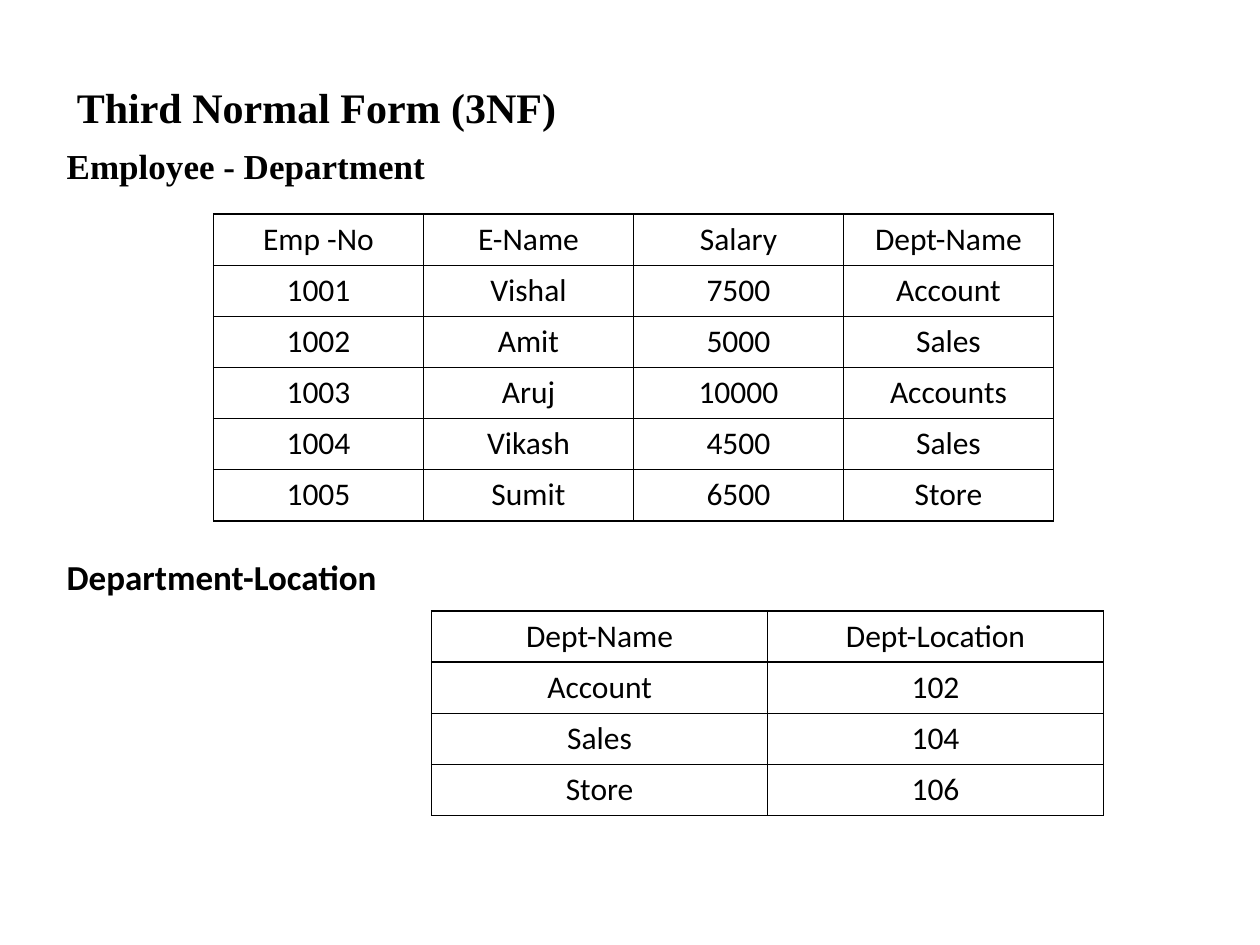
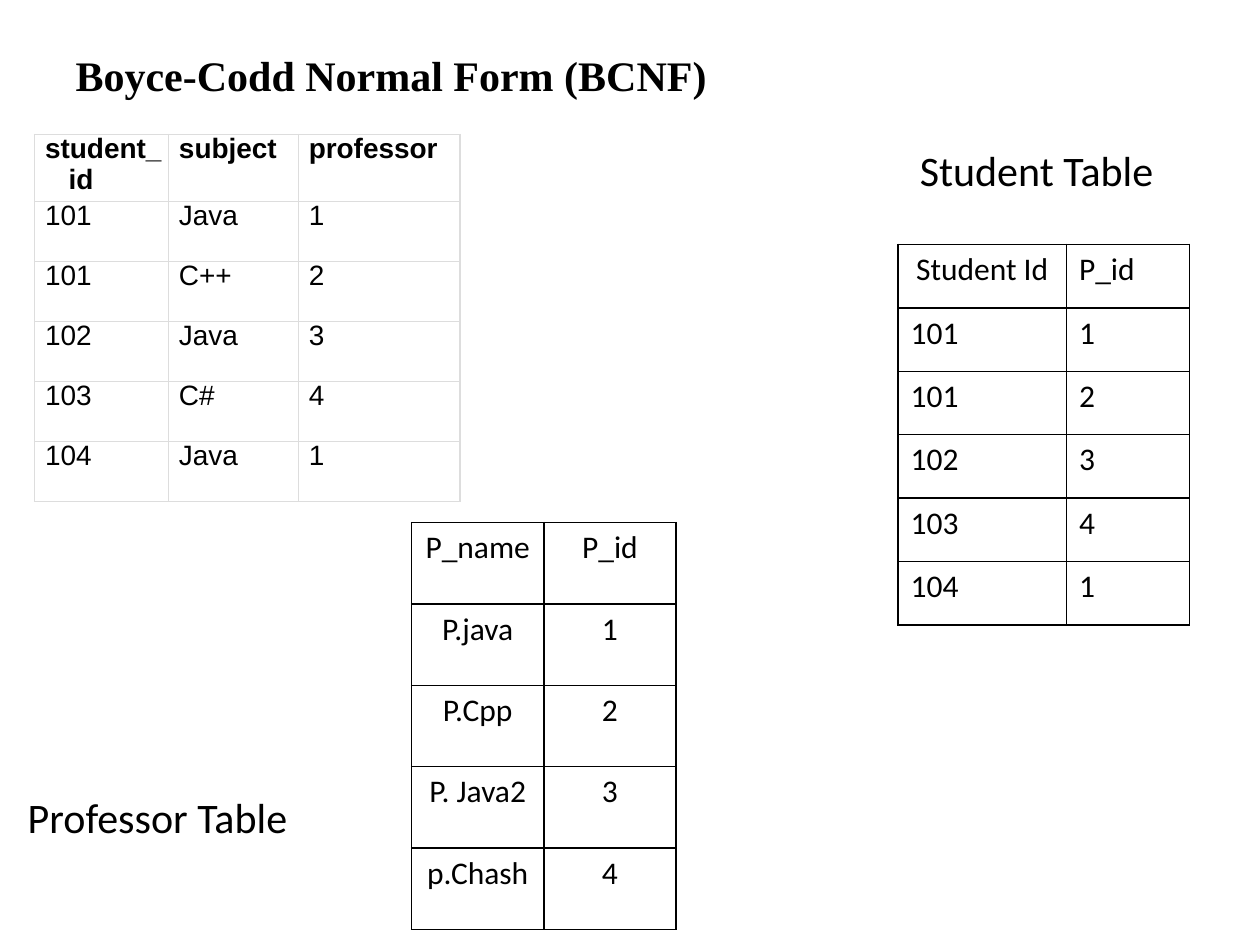
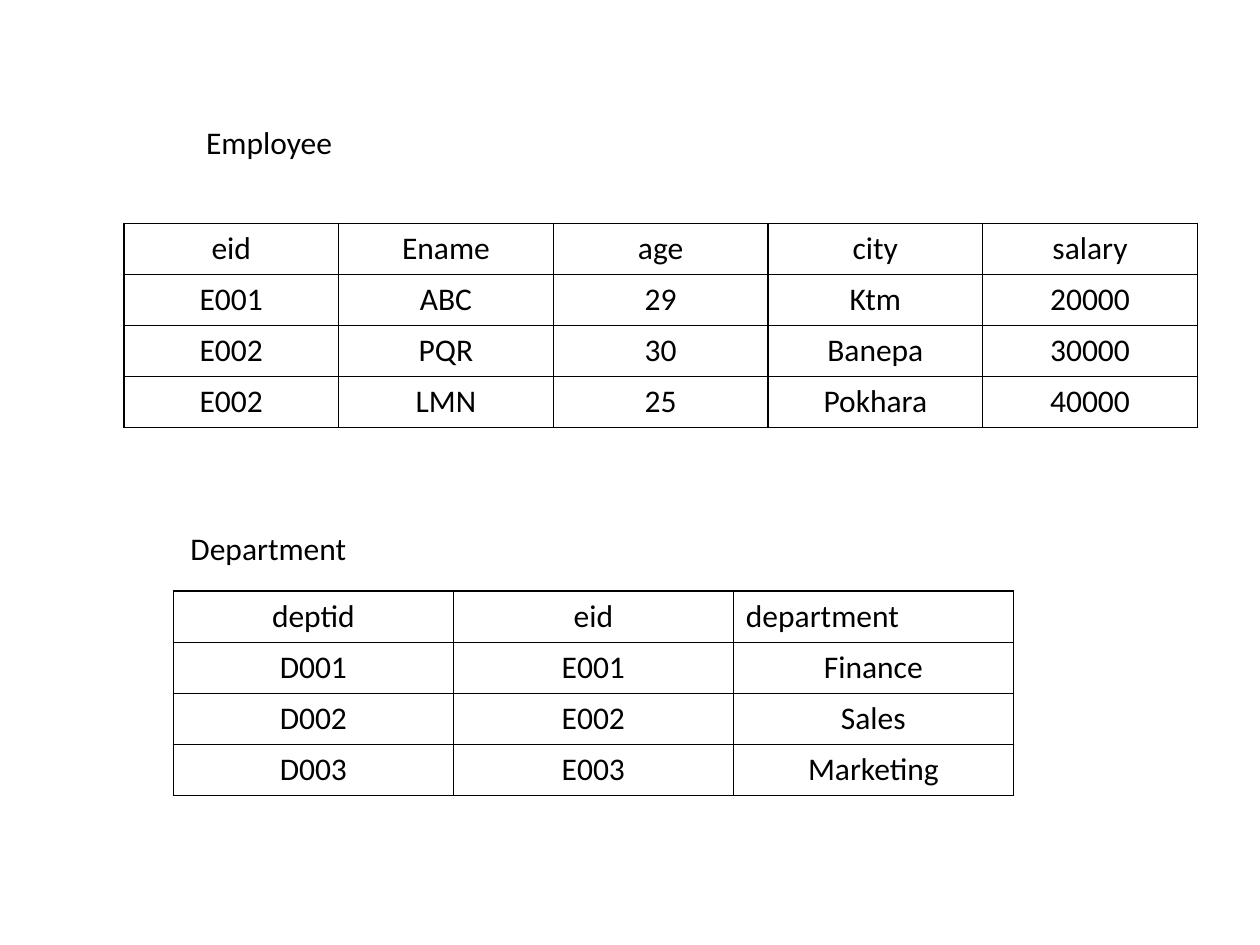
from pptx import Presentation
from pptx.dml.color import RGBColor
from pptx.enum.text import MSO_ANCHOR, MSO_AUTO_SIZE, PP_ALIGN
from pptx.oxml import parse_xml
from pptx.oxml.ns import nsdecls
from pptx.util import Pt

COLORS = {"ink": "000000", "grid": "000000", "pale_grid": "DDDDDD"}
SERIF, SANS, ARIAL = "Times New Roman", "Calibri", "Arial"
TITLE_ONLY, BLANK = 5, 6
ROW = 29.2


class Deck:
    def __init__(self):
        self.prs = Presentation()
        self.prs.slide_width, self.prs.slide_height = Pt(720), Pt(540)
        self.s = None

    def slide(self, layout=TITLE_ONLY):
        self.s = self.prs.slides.add_slide(self.prs.slide_layouts[layout])

    def run(self, p, text, size, font=SANS, bold=False):
        r = p.add_run()
        r.text = text
        r.font.size, r.font.name, r.font.bold = Pt(size), font, bold
        r.font.color.rgb = RGBColor.from_string(COLORS["ink"])

    def title(self, text, left, top, width, height, anchor=MSO_ANCHOR.MIDDLE):
        sp = self.s.shapes.title
        sp.left, sp.top, sp.width, sp.height = map(Pt, (left, top, width, height))
        tf = sp.text_frame
        tf.auto_size, tf.vertical_anchor = MSO_AUTO_SIZE.NONE, anchor
        p = tf.paragraphs[0]
        p.alignment = PP_ALIGN.LEFT
        self.run(p, text, 24, SERIF, True)

    def label(self, text, left, top, width, size, font=SANS, bold=False):
        sp = self.s.shapes.add_textbox(Pt(left), Pt(top), Pt(width), Pt(1.22 * size + 7.2))
        sp.text_frame.word_wrap = True
        self.run(sp.text_frame.paragraphs[0], text, size, font, bold)

    def borders(self, cell, color):
        tcPr = cell._tc.get_or_add_tcPr()
        for side in "LRTB":
            tcPr.append(parse_xml(
                f'<a:ln{side} {nsdecls("a")} w="{Pt(1)}"><a:solidFill>'
                f'<a:srgbClr val="{COLORS[color]}"/></a:solidFill></a:ln{side}>'))

    def table(self, rows, left, top, widths, row_height=ROW, align=PP_ALIGN.CENTER,
              size=18, font=SANS, grid="grid", bold_header=False):
        frame = self.s.shapes.add_table(len(rows), len(widths), Pt(left), Pt(top),
                                        Pt(sum(widths)), Pt(row_height * len(rows)))
        table = frame.table
        table.first_row = table.horz_banding = False
        for column, width in zip(table.columns, widths):
            column.width = Pt(width)
        for i, values in enumerate(rows):
            table.rows[i].height = Pt(row_height)
            for j, value in enumerate(values):
                cell = table.cell(i, j)
                self.borders(cell, grid)
                cell.fill.background()
                p = cell.text_frame.paragraphs[0]
                p.alignment = align
                self.run(p, value, size, font, bold_header and i == 0)
        return table

    def tighten(self, table, indent, hanging):
        for cell in table.iter_cells():
            cell.margin_left = cell.margin_right = cell.margin_top = cell.margin_bottom = 0
            p = cell.text_frame.paragraphs[0]
            p.line_spacing = Pt(17.2)
            pPr = p._p.get_or_add_pPr()
            pPr.set("marL", str(Pt(indent + hanging)))
            pPr.set("indent", str(Pt(-hanging)))

    def align(self, cell, alignment):
        cell.text_frame.paragraphs[0].alignment = alignment


def third_normal_form(deck):
    deck.slide()
    deck.title("Third Normal Form (3NF)", 36.7, 21.6, 647.3, 78.5)
    deck.label("Employee - Department", 31, 79, 240, 20, SERIF, True)
    deck.label("Department-Location", 31, 314, 240, 20, bold=True)
    deck.table([
        ("Emp -No", "E-Name", "Salary", "Dept-Name"),
        ("1001", "Vishal", "7500", "Account"),
        ("1002", "Amit", "5000", "Sales"),
        ("1003", "Aruj", "10000", "Accounts"),
        ("1004", "Vikash", "4500", "Sales"),
        ("1005", "Sumit", "6500", "Store"),
    ], 122, 122.4, [120] * 4)
    deck.table([
        ("Dept-Name", "Dept-Location"),
        ("Account", "102"),
        ("Sales", "104"),
        ("Store", "106"),
    ], 246.6, 349.2, [192] * 2)


def boyce_codd(deck):
    deck.slide()
    deck.title("Boyce-Codd Normal Form (BCNF)", 36, 24.5, 648, 87, MSO_ANCHOR.TOP)
    deck.label("Student Table", 518.5, 79, 165, 24)
    deck.label("Professor Table", 8.8, 448.6, 180, 24)
    subjects = deck.table([
        ("student_ id", "subject", "professor"),
        ("101", "Java", "1"),
        ("101", "C++", "2"),
        ("102", "Java", "3"),
        ("103", "C#", "4"),
        ("104", "Java", "1"),
    ], 19.8, 77, [76.5, 74.2, 92.4], 34.3, PP_ALIGN.LEFT, 16, ARIAL, "pale_grid", True)
    subjects.rows[0].height = Pt(38.2)
    deck.tighten(subjects, 6, 13.4)
    students = deck.table([
        ("Student Id", "P_id"),
        ("101", "1"),
        ("101", "2"),
        ("102", "3"),
        ("103", "4"),
        ("104", "1"),
    ], 513.2, 139.7, [96.2, 70.2], 36.25, PP_ALIGN.LEFT)
    deck.align(students.cell(0, 0), PP_ALIGN.CENTER)
    deck.table([
        ("P_name", "P_id"),
        ("P.java", "1"),
        ("P.Cpp", "2"),
        ("P. Java2", "3"),
        ("p.Chash", "4"),
    ], 235.2, 298.6, [75.6] * 2, 46.5)


def employee_department(deck):
    deck.slide(BLANK)
    deck.table([
        ("eid", "Ename", "age", "city", "salary"),
        ("E001", "ABC", "29", "Ktm", "20000"),
        ("E002", "PQR", "30", "Banepa", "30000"),
        ("E002", "LMN", "25", "Pokhara", "40000"),
    ], 70.8, 127.6, [122.7] * 5)
    departments = deck.table([
        ("deptid", "eid", "department"),
        ("D001", "E001", "Finance"),
        ("D002", "E002", "Sales"),
        ("D003", "E003", "Marketing"),
    ], 99.1, 337.8, [160] * 3)
    deck.align(departments.cell(0, 2), PP_ALIGN.LEFT)
    deck.label("Employee", 110.7, 66.5, 90, 18)
    deck.label("Department", 101.8, 298.5, 108, 18)


def main():
    deck = Deck()
    third_normal_form(deck)
    boyce_codd(deck)
    employee_department(deck)
    deck.prs.save("out.pptx")


if __name__ == "__main__":
    main()
